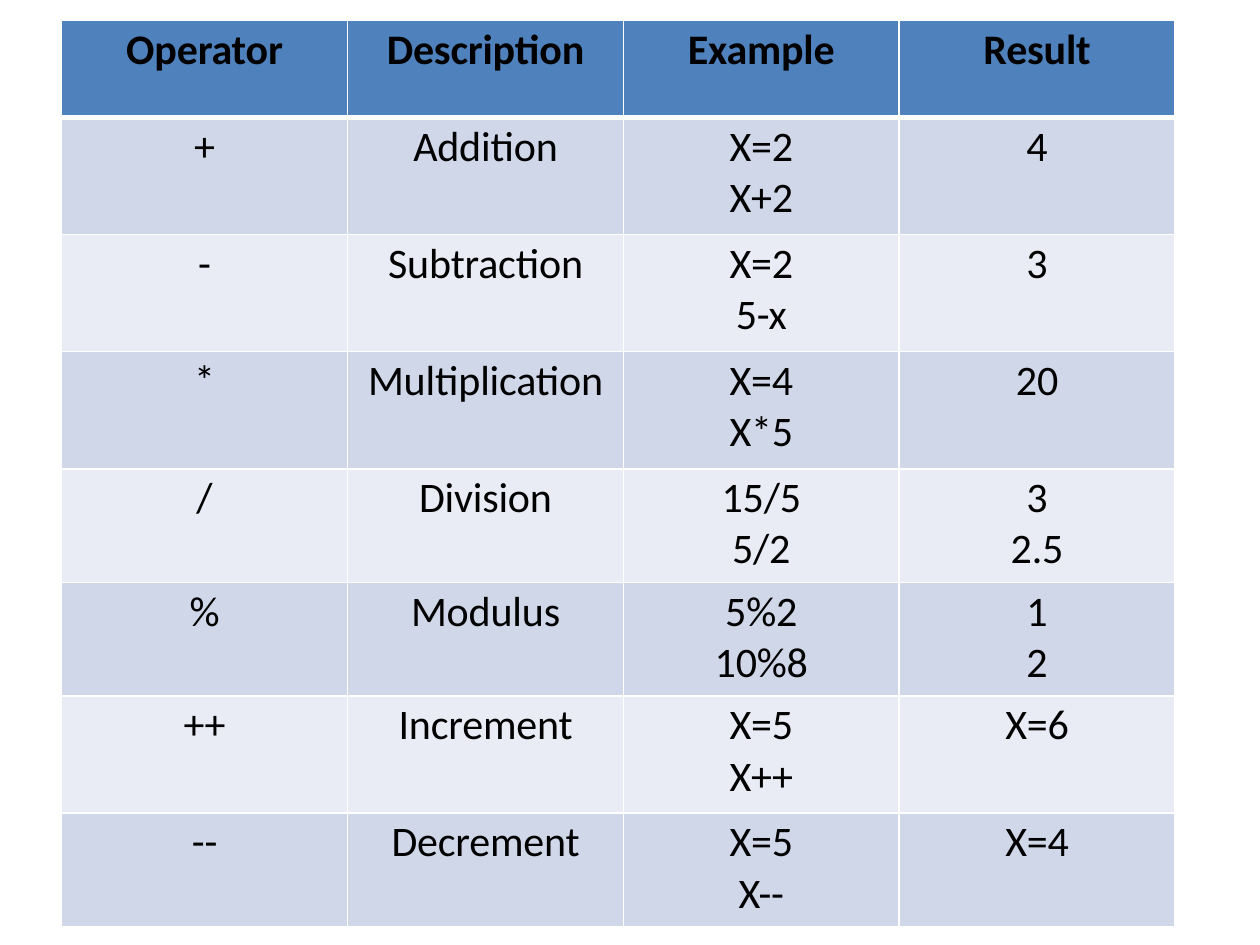
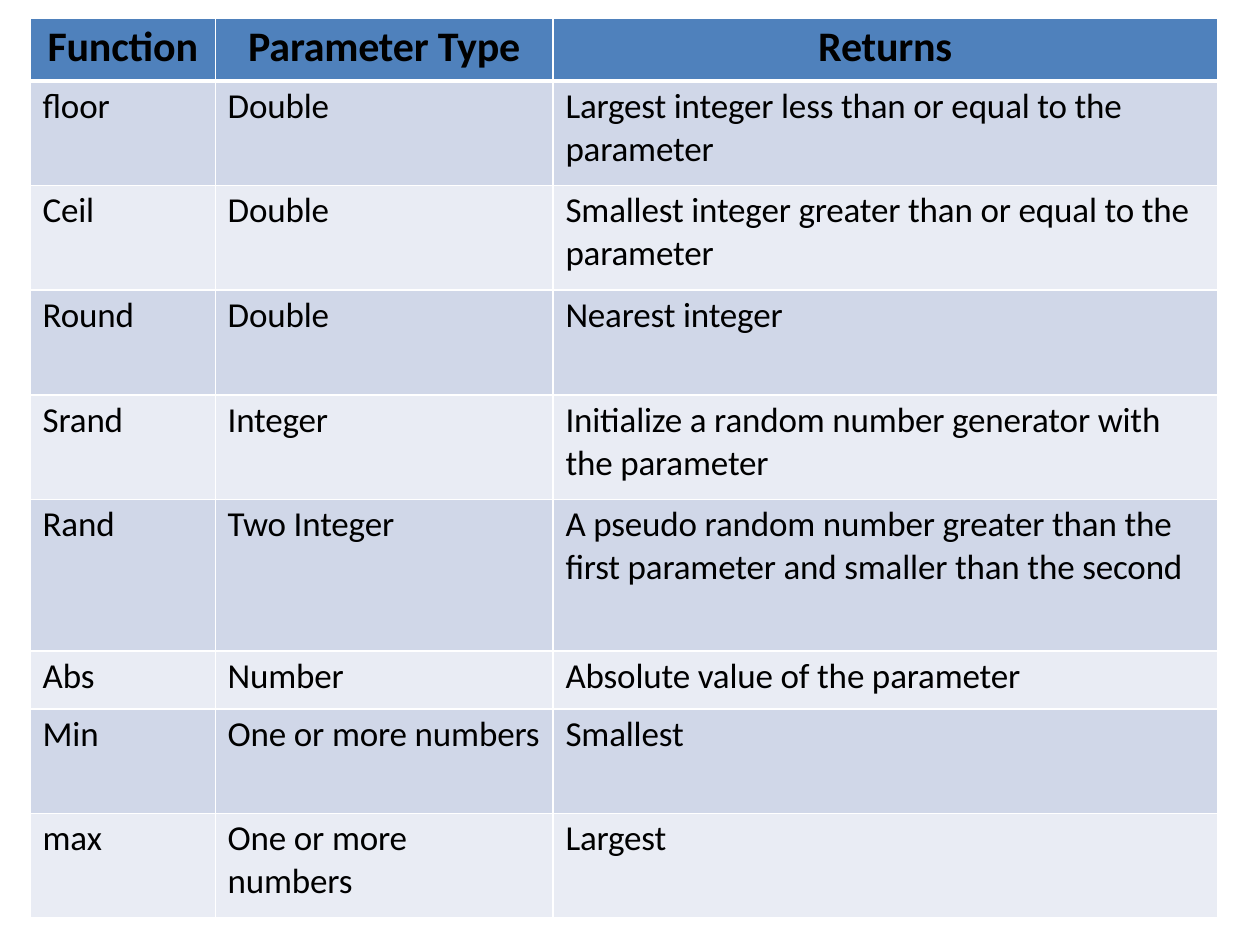
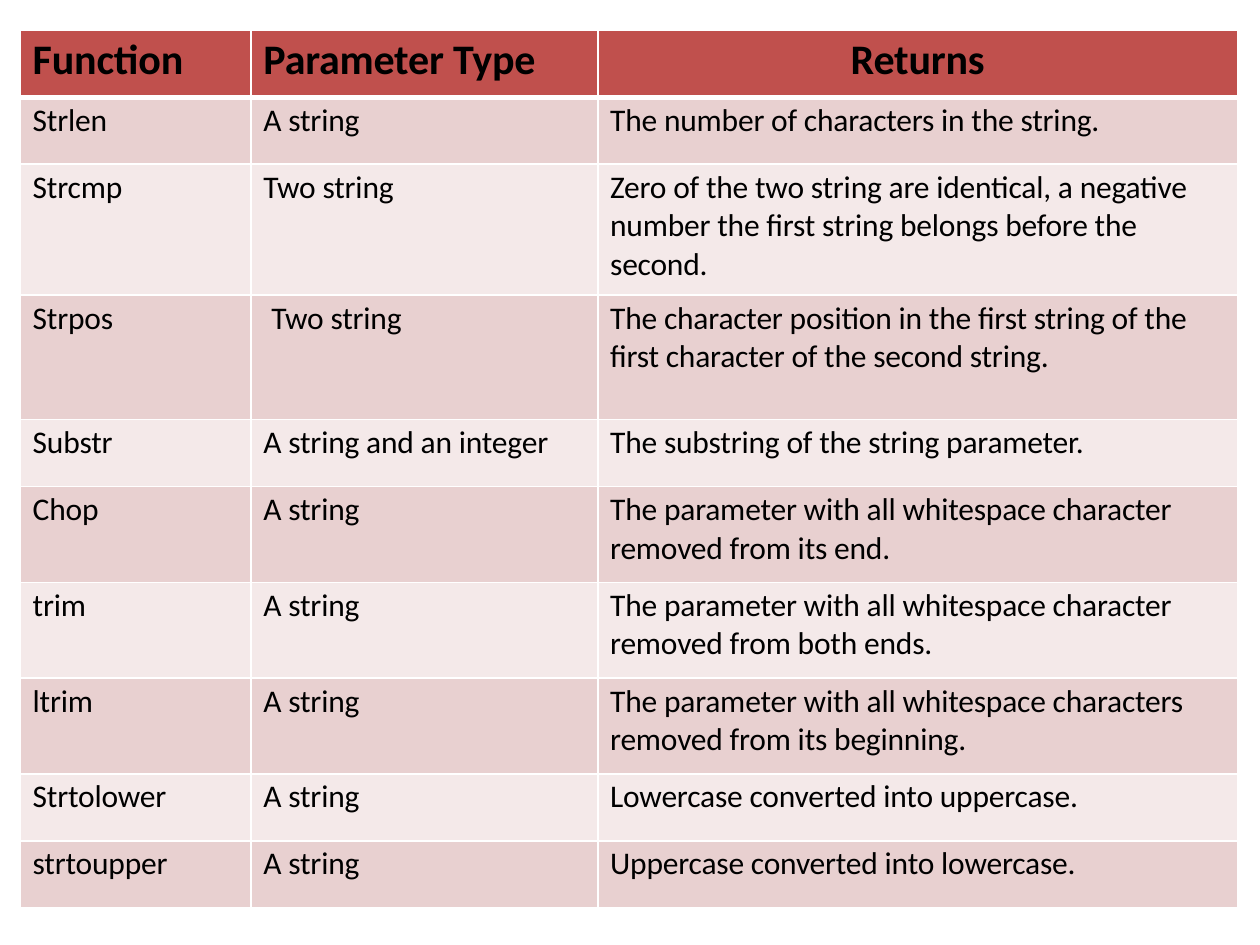
from pptx import Presentation
from pptx import util as u
from pptx.dml import color
from pptx.enum import text
from lxml import etree
from pptx.oxml import ns

FONT, INK, RULE = "Calibri", "000000", "FFFFFF"
HEAD_SIZE = 24
BLUE = ("4F81BC", "D0D7E8", "E9ECF4")
RED = ("C0504D", "E8D0D0", "F4E9E9")

TABLES = [
    dict(
        at=(1.24, 0.41), cols=[5.77, 5.56, 5.56, 5.56], colours=BLUE, size=24,
        heights=[1.96, 2.36, 2.36, 2.36, 2.29, 2.29, 2.36, 2.29],
        head_align="cccc", body_align="cccc", indents={},
        rows=[
            ("Operator", "Description", "Example", "Result"),
            ("+", "Addition", "X=2\nX+2", "4"),
            ("-", "Subtraction", "X=2\n5-x", "3"),
            ("*", "Multiplication", "X=4\nX*5", "20"),
            ("/", "Division", "15/5\n5/2", "3\n2.5"),
            ("%", "Modulus", "5%2\n10%8", "1\n2"),
            ("++", "Increment", "X=5\nX++", "X=6"),
            ("--", "Decrement", "X=5\nX--", "X=4"),
        ],
    ),
    dict(
        at=(0.61, 0.36), cols=[3.73, 6.81, 13.39], colours=BLUE, size=20,
        heights=[1.27, 2.11, 2.11, 2.11, 2.11, 3.05, 1.17, 2.11, 2.11],
        head_align="ccc", body_align="lll", indents={},
        rows=[
            ("Function", "Parameter Type", "Returns"),
            ("floor", "Double", "Largest integer less than or equal to the\nparameter"),
            ("Ceil", "Double", "Smallest integer greater than or equal to the parameter"),
            ("Round", "Double", "Nearest integer"),
            ("Srand", "Integer", "Initialize a random number generator with\nthe parameter"),
            ("Rand", "Two Integer",
             "A pseudo random number greater than the\nfirst parameter and smaller than the second"),
            ("Abs", "Number", "Absolute value of the parameter"),
            ("Min", "One or more numbers", "Smallest"),
            ("max", "One or more\nnumbers", "Largest"),
        ],
    ),
    dict(
        at=(0.41, 0.61), cols=[4.65, 6.99, 12.9], colours=RED, size=18,
        heights=[1.35, 1.35, 2.64, 2.51, 1.35, 1.93, 1.93, 1.93, 1.35, 1.35],
        head_align="llc", body_align="lll", indents={(3, 1): 0.41},
        rows=[
            ("Function", "Parameter Type", "Returns"),
            ("Strlen", "A string", "The number of characters in the string."),
            ("Strcmp", "Two string",
             "Zero of the two string are identical, a negative number the first string "
             "belongs before the second."),
            ("Strpos", "Two string",
             "The character position in the first string of the\n"
             "first character of the second string."),
            ("Substr", "A string and an integer", "The substring of the string parameter."),
            ("Chop", "A string",
             "The parameter with all whitespace character removed from its end."),
            ("trim", "A string",
             "The parameter with all whitespace character\nremoved from both ends."),
            ("ltrim", "A string",
             "The parameter with all whitespace characters\nremoved from its beginning."),
            ("Strtolower", "A string", "Lowercase converted into uppercase."),
            ("strtoupper", "A string", "Uppercase converted into lowercase."),
        ],
    ),
]


def rgb(value):
    """Turn a hex string into a colour."""
    return color.RGBColor.from_string(value)


def write(tf, content, size, bold=False, align="l"):
    """Write one paragraph per line of content."""
    for i, line in enumerate(content.split("\n")):
        p = tf.paragraphs[0] if i == 0 else tf.add_paragraph()
        p.alignment = text.PP_ALIGN.CENTER if align == "c" else text.PP_ALIGN.LEFT
        p.space_before = u.Pt(0 if i else 2.4)
        r = p.add_run()
        r.text = line
        r.font.name, r.font.size, r.font.bold = FONT, u.Pt(size), bold
        r.font.color.rgb = rgb(INK)
        r._r.get_or_add_rPr().set("spc", "-10")


def style_cell(cell, fill, indent, top, bottom):
    """Set the margins, borders and fill of a cell."""
    cell.margin_left, cell.margin_top = u.Cm(indent), u.Cm(0.08)
    cell.margin_right = cell.margin_bottom = 0
    tcPr = cell._tc.get_or_add_tcPr()
    for side, width in (("L", 1), ("R", 1), ("T", top), ("B", bottom)):
        ln = etree.SubElement(tcPr, ns.qn("a:ln" + side), w=str(u.Pt(width)))
        solid = etree.SubElement(ln, ns.qn("a:solidFill"))
        etree.SubElement(solid, ns.qn("a:srgbClr"), val=RULE)
    cell.fill.solid()
    cell.fill.fore_color.rgb = rgb(fill)


def add_grid(slide, at, cols, heights, rows, colours, size, head_align, body_align, indents):
    """Add a table with a header row and banded body rows."""
    frame = slide.shapes.add_table(
        len(rows), len(cols), *map(u.Cm, at), u.Cm(sum(cols)), u.Cm(sum(heights)))
    table = frame.table
    table.horz_banding = False
    for col, width in zip(table.columns, cols):
        col.width = u.Cm(width)
    head, *bands = colours
    for y, values in enumerate(rows):
        table.rows[y].height = u.Cm(heights[y])
        is_head = y == 0
        fill = head if is_head else bands[(y - 1) % 2]
        for x, value in enumerate(values):
            align = (head_align if is_head else body_align)[x]
            indent = indents.get((y, x), 0 if align == "c" else 0.25)
            cell = table.cell(y, x)
            style_cell(cell, fill, indent, 3 if y == 1 else 1, 3 if is_head else 1)
            write(cell.text_frame, value, HEAD_SIZE if is_head else size, is_head, align)


def main():
    """Build the deck."""
    prs = Presentation()
    prs.slide_width, prs.slide_height = u.Cm(25.4), u.Cm(19.05)
    for grid in TABLES:
        add_grid(prs.slides.add_slide(prs.slide_layouts[6]), **grid)
    prs.save("out.pptx")


if __name__ == "__main__":
    main()
